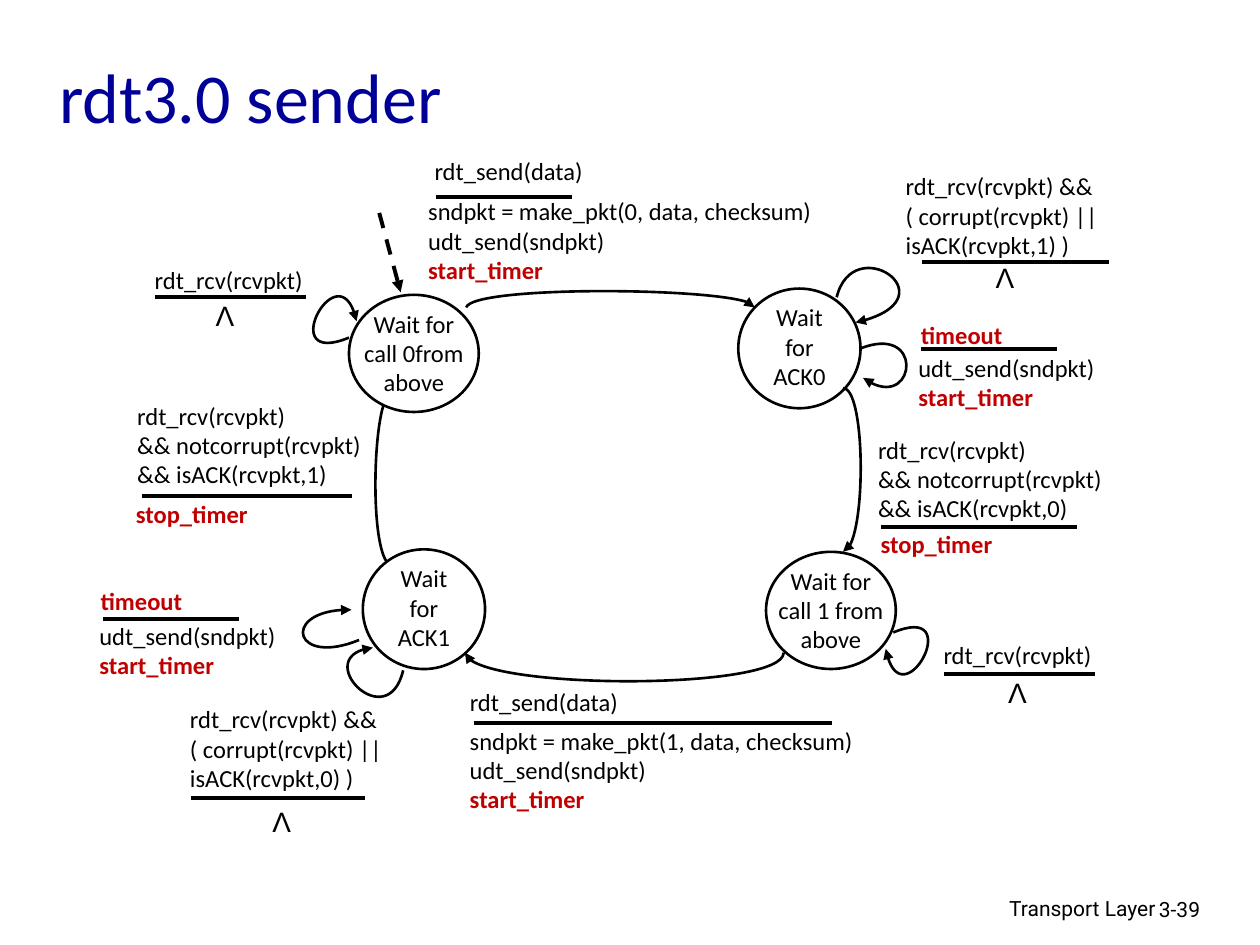
from dataclasses import dataclass

from lxml import etree
from pptx import Presentation
from pptx.dml.color import RGBColor
from pptx.enum import dml, shapes, text
from pptx.oxml.ns import qn
from pptx.util import Inches, Pt


@dataclass(frozen=True)
class Theme:
    ink: RGBColor = RGBColor(0x00, 0x00, 0x00)
    paper: RGBColor = RGBColor(0xFF, 0xFF, 0xFF)
    title: RGBColor = RGBColor(0x00, 0x00, 0x99)
    timer: RGBColor = RGBColor(0xC0, 0x00, 0x00)
    body_font: str = "Calibri"
    footer_font: str = "Roboto"
    symbol_font: str = "Arial"
    title_size: int = 40
    symbol_size: int = 16
    body_size: int = 14
    footer_size: int = 12
    rule_width: float = 2.25
    curve_width: float = 1.5


TIMER_WORDS = {"timeout", "start_timer", "stop_timer"}
ALIGN = text.PP_ALIGN


class StateDiagram:
    def __init__(self, slide, theme):
        self.slide = slide
        self.theme = theme

    def text_box(self, box, lines, font=None, size=None, color=None,
                 align=ALIGN.LEFT, anchor=text.MSO_ANCHOR.TOP, parent=None):
        """Write one paragraph per line; timer words stand out in bold."""
        t = self.theme
        sp = (parent or self.slide).shapes.add_textbox(*map(Inches, box))
        tf = sp.text_frame
        tf.word_wrap = True
        tf.vertical_anchor = anchor
        tf.text = "\n".join(lines)
        for p in tf.paragraphs:
            is_timer = p.text in TIMER_WORDS
            p.alignment = align
            p.font.name = font or t.body_font
            p.font.size = Pt(size or t.body_size)
            p.font.bold = is_timer
            p.font.color.rgb = t.timer if is_timer else color or t.ink

    def footer(self, box, line, align):
        self.text_box(box, [line], self.theme.footer_font,
                      self.theme.footer_size, align=align)

    def no_action(self, x, y):
        self.text_box((x, y, 0.35, 0.37), ["Λ"], self.theme.symbol_font,
                      self.theme.symbol_size, align=ALIGN.CENTER)

    def state(self, x, y, size, label_size, lines):
        """Group a circle with a label centred across it."""
        width, height = size
        label_width, label_height = label_size
        group = self.slide.shapes.add_group_shape()
        sp = group.shapes.add_shape(shapes.MSO_SHAPE.OVAL,
                                    *map(Inches, (x, y, width, height)))
        sp.shadow.inherit = False
        sp.fill.solid()
        sp.fill.fore_color.rgb = self.theme.paper
        self.stroke(sp, self.theme.curve_width)
        label = (x + (width - label_width) / 2, y + 0.06,
                 label_width, label_height)
        self.text_box(label, lines, align=ALIGN.CENTER, parent=group)

    def ack_state(self, x, y, number):
        self.state(x, y, (0.97, 0.95), (0.78, 0.49), [f"Wait for ACK{number}"])

    def call_state(self, x, y, call):
        self.state(x, y, (1.03, 0.93), (1.3, 0.67), ["Wait for", call])

    def line(self, x1, y1, x2, y2):
        cxn = self.slide.shapes.add_connector(
            shapes.MSO_CONNECTOR.STRAIGHT, *map(Inches, (x1, y1, x2, y2)))
        self.stroke(cxn, self.theme.rule_width)
        etree.SubElement(cxn._element.spPr, qn("a:effectLst"))
        return cxn

    def rule(self, x1, x2, y):
        self.line(x1, y, x2, y)

    def start_arrow(self, *ends):
        cxn = self.line(*ends)
        cxn.line.dash_style = dml.MSO_LINE.DASH
        self.arrowhead(cxn)

    def curve(self, *points):
        """Draw a cubic curve from start, two control points and end."""
        start, *rest = [tuple(map(Inches, point)) for point in points]
        builder = self.slide.shapes.build_freeform(*start)
        builder.add_line_segments(rest, close=False)
        sp = builder.convert_to_shape()
        path_xml = next(sp._element.iter(qn("a:path")))
        path_xml.set("fill", "none")
        bezier = etree.SubElement(path_xml, qn("a:cubicBezTo"))
        for segment in path_xml.findall(qn("a:lnTo")):
            bezier.append(segment[0])
            path_xml.remove(segment)
        sp.shadow.inherit = False
        sp.fill.background()
        self.stroke(sp, self.theme.curve_width)
        self.arrowhead(sp)

    def stroke(self, sp, width):
        sp.line.color.rgb = self.theme.ink
        sp.line.width = Pt(width)

    def arrowhead(self, sp):
        ln = sp.line._get_or_add_ln()
        etree.SubElement(ln, qn("a:tailEnd"), type="triangle")


def corrupt_ack(number):
    return ["rdt_rcv(rcvpkt) &&", "( corrupt(rcvpkt) ||",
            f"isACK(rcvpkt,{number}) )"]


def good_ack(number):
    return ["rdt_rcv(rcvpkt)", "&& notcorrupt(rcvpkt)",
            f"&& isACK(rcvpkt,{number})"]


def send_packet(number):
    return [f"sndpkt = make_pkt({number}, data, checksum)",
            "udt_send(sndpkt)", "start_timer"]


def main():
    prs = Presentation()
    prs.slide_width, prs.slide_height = Inches(10), Inches(7.5)
    theme = Theme()
    d = StateDiagram(prs.slides.add_slide(prs.slide_layouts[6]), theme)

    d.footer((6.1, 7.06, 3.17, 0.31), "Transport Layer", ALIGN.RIGHT)
    d.footer((9.1, 7.07, 0.74, 0.3), "3-39", ALIGN.LEFT)
    d.text_box((0.37, 0.27, 3.89, 0.98), ["rdt3.0 sender"],
               size=theme.title_size, color=theme.title,
               anchor=text.MSO_ANCHOR.MIDDLE)

    # Right-hand states lie below the transitions, left-hand ones above.
    d.ack_state(5.86, 2.29, 0)
    d.call_state(6.08, 4.38, "call 1 from above")

    transitions = [
        ((3.7, 2.44), (3.75, 2.27), (5.99, 2.28), (5.99, 2.44)),
        ((6.69, 3.08), (6.86, 3.08), (6.88, 4.35), (6.69, 4.38)),
        ((6.22, 5.18), (6.22, 5.47), (3.74, 5.48), (3.69, 5.18)),
        ((3.11, 4.49), (2.94, 4.46), (2.95, 3.12), (3.11, 3.12)),
    ]
    self_loops = [
        ((6.64, 2.36), (6.77, 1.83), (7.59, 2.38), (6.79, 2.56)),
        ((6.82, 2.77), (7.33, 2.56), (7.27, 3.3), (6.85, 3)),
        ((7.09, 5.02), (7.66, 4.78), (7.15, 5.76), (7.03, 5.15)),
        ((3.2, 5.32), (3.08, 5.83), (2.44, 5.2), (2.96, 5.14)),
        ((2.85, 5.08), (2.34, 5.29), (2.22, 4.83), (2.79, 4.84)),
    ]
    for points in transitions + self_loops:
        d.curve(*points)

    d.call_state(2.77, 2.34, "call 0from above")
    d.ack_state(2.88, 4.36, 1)
    d.curve((2.77, 2.68), (2.19, 2.92), (2.7, 1.95), (2.83, 2.55))
    d.start_arrow(3.01, 1.69, 3.18, 2.32)

    resend = ["udt_send(sndpkt)", "start_timer"]
    labels = [
        ((3.35, 1.19, 1.89, 0.31), ["rdt_send(data)"]),
        ((3.3, 1.51, 4.22, 0.61), send_packet(0)),
        ((7.09, 1.31, 1.86, 0.62), corrupt_ack(1)),
        ((7.21, 2.49, 1.22, 0.31), ["timeout"]),
        ((7.19, 2.75, 2.31, 0.47), resend),
        ((6.87, 3.4, 2.35, 0.62), good_ack(0)),
        ((6.89, 4.15, 1.66, 0.2), ["stop_timer"]),
        ((7.39, 5.03, 1.56, 0.62), ["rdt_rcv(rcvpkt)"]),
        ((3.63, 5.4, 1.89, 0.31), ["rdt_send(data)"]),
        ((3.63, 5.71, 3.77, 0.6), send_packet(1)),
        ((1.41, 5.54, 1.77, 0.62), corrupt_ack(0)),
        ((0.7, 4.6, 1.22, 0.31), ["timeout"]),
        ((0.69, 4.88, 1.99, 0.47), resend),
        ((0.99, 3.13, 2.09, 0.62), good_ack(1)),
        ((0.98, 3.91, 1.66, 0.44), ["stop_timer"]),
        ((1.13, 2.05, 1.56, 0.62), ["rdt_rcv(rcvpkt)"]),
    ]
    for box, lines in labels:
        d.text_box(box, lines)

    for x1, x2, y in [(3.46, 4.54, 1.56), (7.32, 8.8, 2.08),
                      (7.31, 8.39, 2.77), (6.99, 8.55, 4.18),
                      (7.49, 8.69, 5.35), (3.76, 6.6, 5.74),
                      (1.52, 2.9, 6.33), (0.82, 1.9, 4.91),
                      (1.13, 2.79, 3.94), (1.23, 2.43, 2.36)]:
        d.rule(x1, x2, y)

    for x, y in [(7.8, 2.02), (7.9, 5.31), (2.06, 6.34), (1.61, 2.32)]:
        d.no_action(x, y)

    prs.save("out.pptx")


if __name__ == "__main__":
    main()
